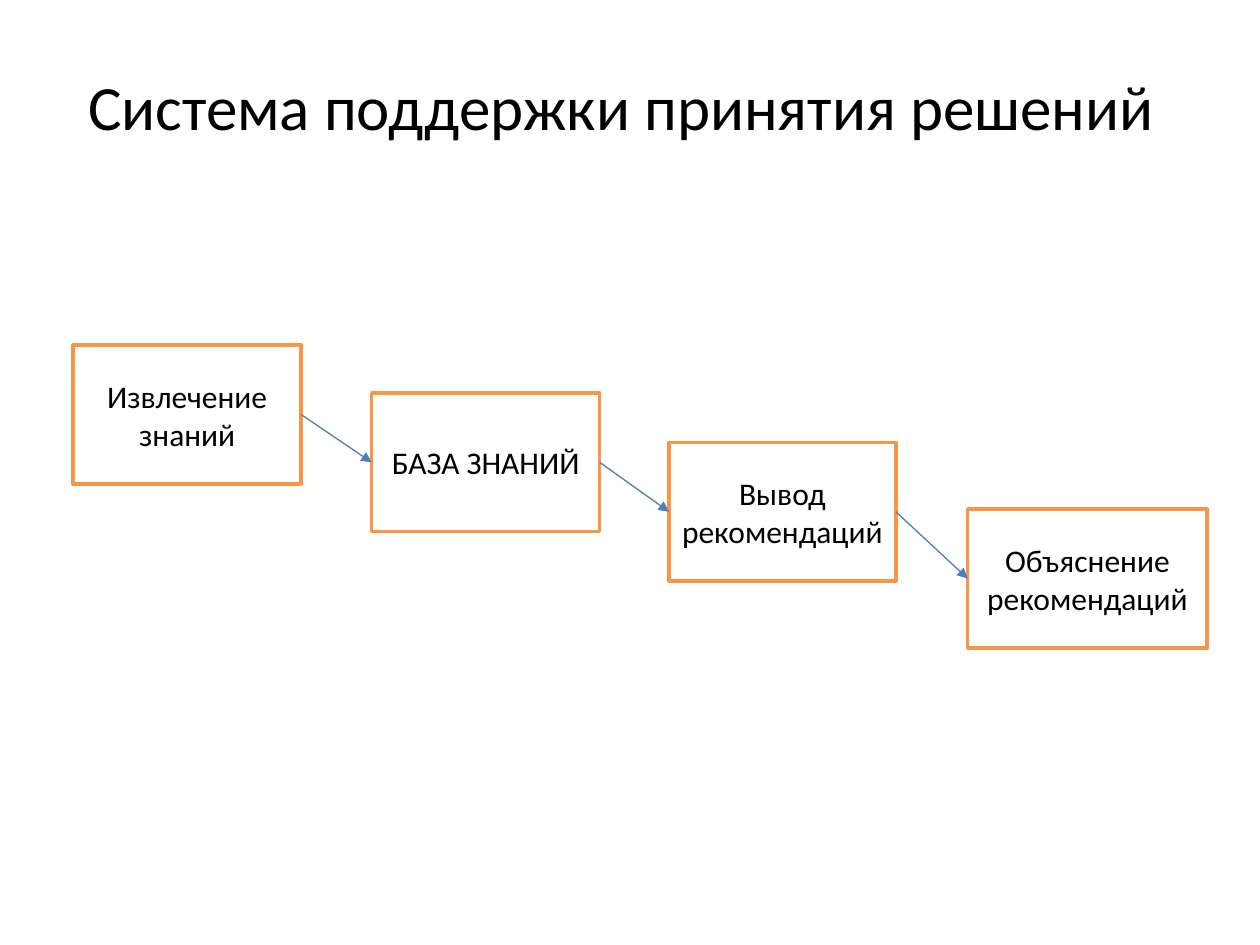
from dataclasses import dataclass
from itertools import pairwise

from lxml import etree
from pptx import Presentation
from pptx import util as u
from pptx.dml.color import RGBColor
from pptx.enum import shapes, text
from pptx.oxml.ns import qn

COLORS = {"text": "000000", "fill": "FFFFFF", "border": "F79646", "arrow": "4B7EBC"}
FONT = "Calibri"
BOX_HEIGHT = 79.2


@dataclass
class Stage:
    label: str
    left: float
    top: float
    width: float


STAGES = [
    Stage("Извлечение знаний", 41.8, 197.3, 130.3),
    Stage("БАЗА ЗНАНИЙ", 212.4, 224.6, 130.3),
    Stage("Вывод рекомендаций", 382.3, 252.8, 129.6),
    Stage("Объяснение рекомендаций", 553, 291, 136.8),
]


def color(name: str) -> RGBColor:
    return RGBColor.from_string(COLORS[name])


def write(sp, content: str, size: float) -> None:
    """Put one centred paragraph in the middle of a shape."""
    tf = sp.text_frame
    tf.word_wrap = True
    tf.vertical_anchor = text.MSO_ANCHOR.MIDDLE
    tf.margin_left = tf.margin_right = u.Pt(5)
    p = tf.paragraphs[0]
    p.text = content
    p.alignment = text.PP_ALIGN.CENTER
    p.font.name = FONT
    p.font.size = u.Pt(size)
    p.font.color.rgb = color("text")


def add_title(s, content: str) -> None:
    sp = s.shapes.add_textbox(u.Pt(31), u.Pt(15.1), u.Pt(648), u.Pt(90))
    write(sp, content, 36)


def add_stage(s, stage: Stage):
    sp = s.shapes.add_shape(
        shapes.MSO_SHAPE.RECTANGLE,
        u.Pt(stage.left), u.Pt(stage.top), u.Pt(stage.width), u.Pt(BOX_HEIGHT),
    )
    sp.shadow.inherit = False
    sp.fill.solid()
    sp.fill.fore_color.rgb = color("fill")
    sp.line.color.rgb = color("border")
    sp.line.width = u.Pt(2)
    write(sp, stage.label, 18)
    return sp


def add_arrow(s, source, target) -> None:
    """Join the right side of source to the left side of target."""
    cxn = s.shapes.add_connector(shapes.MSO_CONNECTOR.STRAIGHT, 0, 0, 0, 0)
    cxn.begin_connect(source, 3)
    cxn.end_connect(target, 1)
    cxn.line.color.rgb = color("arrow")
    cxn.line.width = u.Pt(0.75)
    etree.SubElement(cxn.line._get_or_add_ln(), qn("a:tailEnd"), type="triangle")
    etree.SubElement(cxn._element.spPr, qn("a:effectLst"))


def main() -> None:
    prs = Presentation()
    prs.slide_width, prs.slide_height = u.Pt(720), u.Pt(540)
    s = prs.slides.add_slide(prs.slide_layouts[6])
    add_title(s, "Система поддержки принятия решений")
    boxes = [add_stage(s, stage) for stage in STAGES]
    for source, target in pairwise(boxes):
        add_arrow(s, source, target)
    prs.save("out.pptx")


if __name__ == "__main__":
    main()
